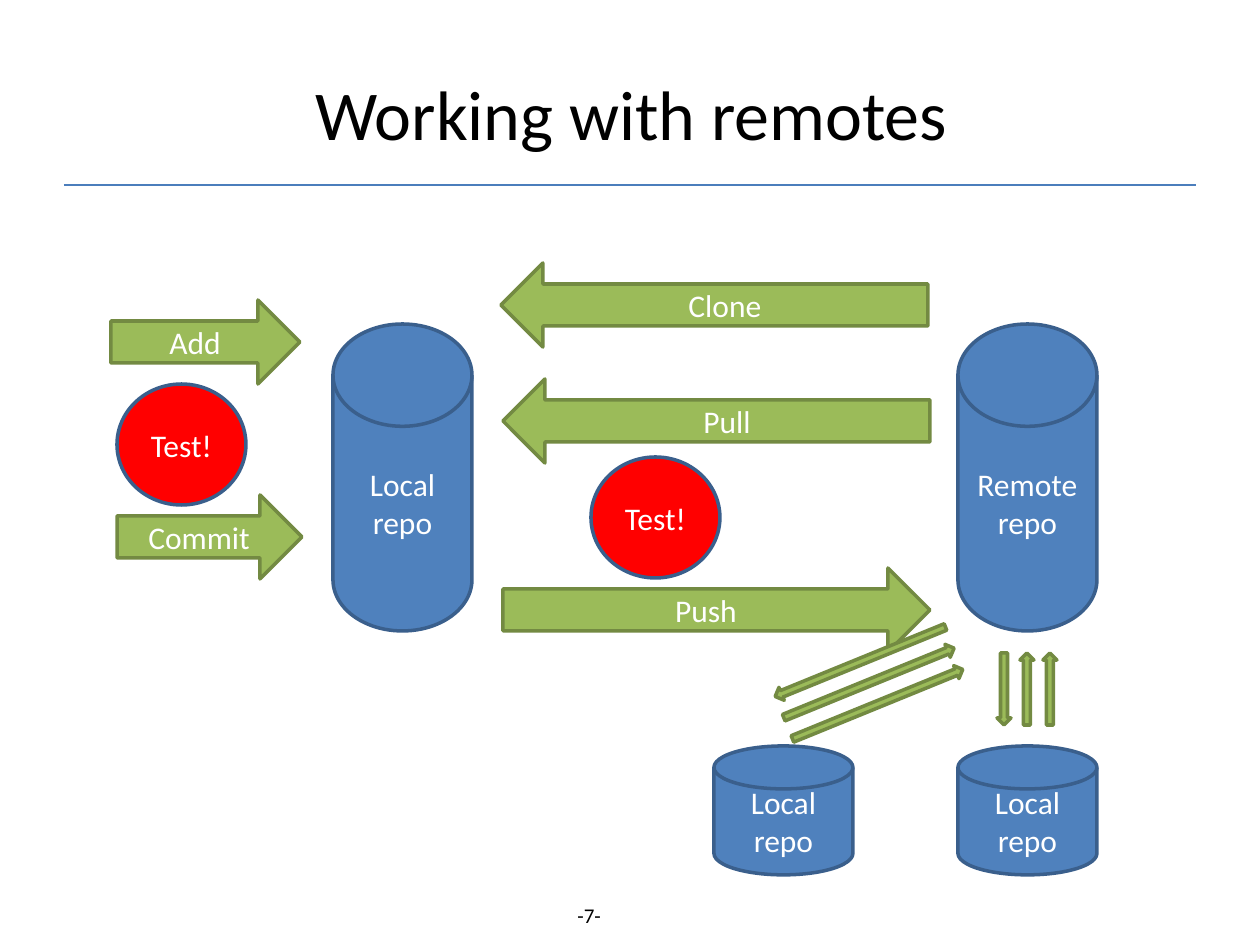
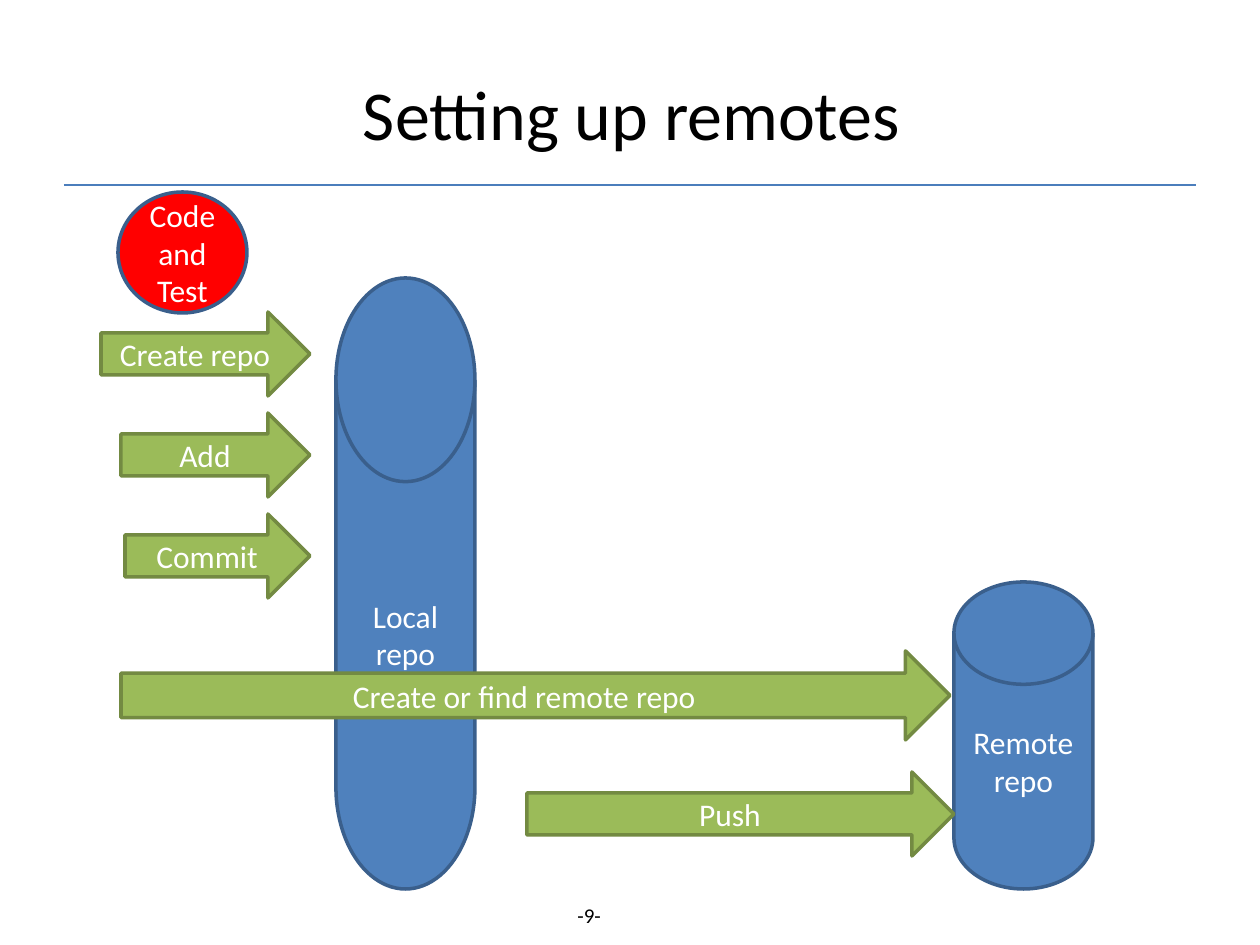
import math

import pptx
import pptx.util
import pptx.dml.color
import pptx.enum.shapes
import pptx.enum.text
import pptx.oxml.ns
from lxml import etree

PX = 914400 // 126  # one px in EMU
WIDE, HIGH = 1260, 945
FONT = "Calibri"
HUES = {
    "page": "FFFFFF", "ink": "000000", "light": "FFFFFF", "rule": "4B7EBC",
    "disk": "4F81BD", "edge": "3A5F8C",
    "arrow": "9BBB59", "rim": "738A42", "test": "FF0000",
}
KIND = pptx.enum.shapes.MSO_SHAPE
DISK_W, DISK_H = 139, 307
ARROW_H = 84
LONG_W = 427  # arrows between the repos
TEST_W, TEST_H = 129, 121
THIN_H, THIN_GAP = 14, 23


def px(*nums):
    return [pptx.util.Emu(round(n * PX)) for n in nums]


def hue(name):
    return pptx.dml.color.RGBColor.from_string(HUES[name])


def write(shape, text, size=18, color="light", anchor="MIDDLE"):
    """Put centred text in a shape, one paragraph per line."""
    frame = shape.text_frame
    frame.text = text
    frame.word_wrap = True
    frame.auto_size = pptx.enum.text.MSO_AUTO_SIZE.NONE
    frame.vertical_anchor = getattr(pptx.enum.text.MSO_ANCHOR, anchor)
    for para in frame.paragraphs:
        para.alignment = pptx.enum.text.PP_ALIGN.CENTER
        font = para.runs[0].font
        font.name, font.size = FONT, pptx.util.Pt(size)
        font.color.rgb = hue(color)


def draw(slide, kind, box, fill, line, text="", turn=0):
    shape = slide.shapes.add_shape(kind, *px(*box))
    shape.shadow.inherit = False
    shape.fill.solid()
    shape.fill.fore_color.rgb = hue(fill)
    shape.line.color.rgb = hue(line)
    shape.line.width = pptx.util.Pt(2)
    shape.rotation = turn
    if text:
        write(shape, text)


def disk(slide, x, y, text, high=DISK_H):
    draw(slide, KIND.FLOWCHART_MAGNETIC_DISK, (x, y, DISK_W, high),
         "disk", "edge", text)


def arrow(slide, x, y, wide, text, high=ARROW_H, kind=KIND.RIGHT_ARROW):
    draw(slide, kind, (x, y, wide, high), "arrow", "rim", text)


def test(slide, x, y, text):
    draw(slide, KIND.OVAL, (x, y, TEST_W, TEST_H), "test", "edge", text)


def bundle(slide, x, y, wide, turn):
    """Three thin parallel arrows about (x, y): one out, two back."""
    rad = math.radians(turn)
    for step in (-1, 0, 1):
        mid_x = x + step * THIN_GAP * math.sin(rad)
        mid_y = y - step * THIN_GAP * math.cos(rad)
        box = (mid_x - wide / 2, mid_y - THIN_H / 2, wide, THIN_H)
        draw(slide, KIND.RIGHT_ARROW, box, "arrow", "rim",
             turn=turn if step < 0 else turn + 180)


def base(deck, title, num):
    """Title, rule and page number shared by the slides."""
    slide = deck.slides.add_slide(deck.slide_layouts[5])
    slide.background.fill.solid()
    slide.background.fill.fore_color.rgb = hue("page")
    head = slide.shapes.title
    head.left, head.top, head.width, head.height = px(123, 34, 1017, 158)
    write(head, title, size=40, color="ink")

    rule = slide.shapes.add_connector(
        pptx.enum.shapes.MSO_CONNECTOR.STRAIGHT, *px(64, 185, 1196, 185))
    rule.line.color.rgb = hue("rule")
    rule.line.width = pptx.util.Pt(0.75)
    props = rule._element.spPr
    etree.SubElement(props, pptx.oxml.ns.qn("a:effectLst"))

    foot = slide.shapes.add_textbox(*px(557, 896, 69, 38))
    write(foot, f"-{num}- ", size=12, color="ink", anchor="TOP")
    return slide


def stage(slide, x, y):
    """Steps that lead into the local repo."""
    arrow(slide, x, y, 189, "Add")
    arrow(slide, x + 6, y + 195, 185, "Commit")
    test(slide, x + 6, y + 84, "Test!")


def sync(slide, x, y):
    """Traffic between the local and the remote repo."""
    left = KIND.LEFT_ARROW
    arrow(slide, x + 2, y + 305, LONG_W, "Push")
    arrow(slide, x + 2, y + 116, LONG_W, "Pull", kind=left)
    arrow(slide, x, y, LONG_W, "Clone", kind=left)
    test(slide, x + 90, y + 194, "Test!")


def peers(slide, x, y):
    """Further local repos below the remote one."""
    for left in (x, x + 244):
        disk(slide, left, y, "Local repo", high=129)
    bundle(slide, x + 155, y - 63, 184, 157.8)
    bundle(slide, x + 313, y - 57, 72, 90)


def setup(slide, x, y):
    """Steps from first code to push, arrow tips lined up at the repo."""
    test(slide, x + 17, y, "Code and Test")
    tip = x + 209
    for top, wide, text in ((120, 209, "Create repo"), (221, 189, "Add"),
                            (322, 185, "Commit")):
        arrow(slide, tip - wide, y + top, wide, text)
    arrow(slide, x + 20, y + 459, 829, "Create or find remote repo", high=89)
    arrow(slide, x + 426, y + 580, LONG_W, "Push")


def main():
    deck = pptx.Presentation()
    deck.slide_width, deck.slide_height = px(WIDE, HIGH)

    # Working with remotes
    slide = base(deck, "Working with remotes", 7)
    disk(slide, 958, 324, "Remote\nrepo")
    disk(slide, 333, 324, "Local repo")
    stage(slide, 111, 300)
    sync(slide, 501, 263)
    peers(slide, 714, 746)

    # Setting up remotes
    slide = base(deck, "Setting up remotes", 9)
    disk(slide, 954, 582, "Remote\nrepo")
    disk(slide, 336, 278, "Local repo", high=611)
    setup(slide, 101, 192)

    deck.save("out.pptx")


if __name__ == "__main__":
    main()
